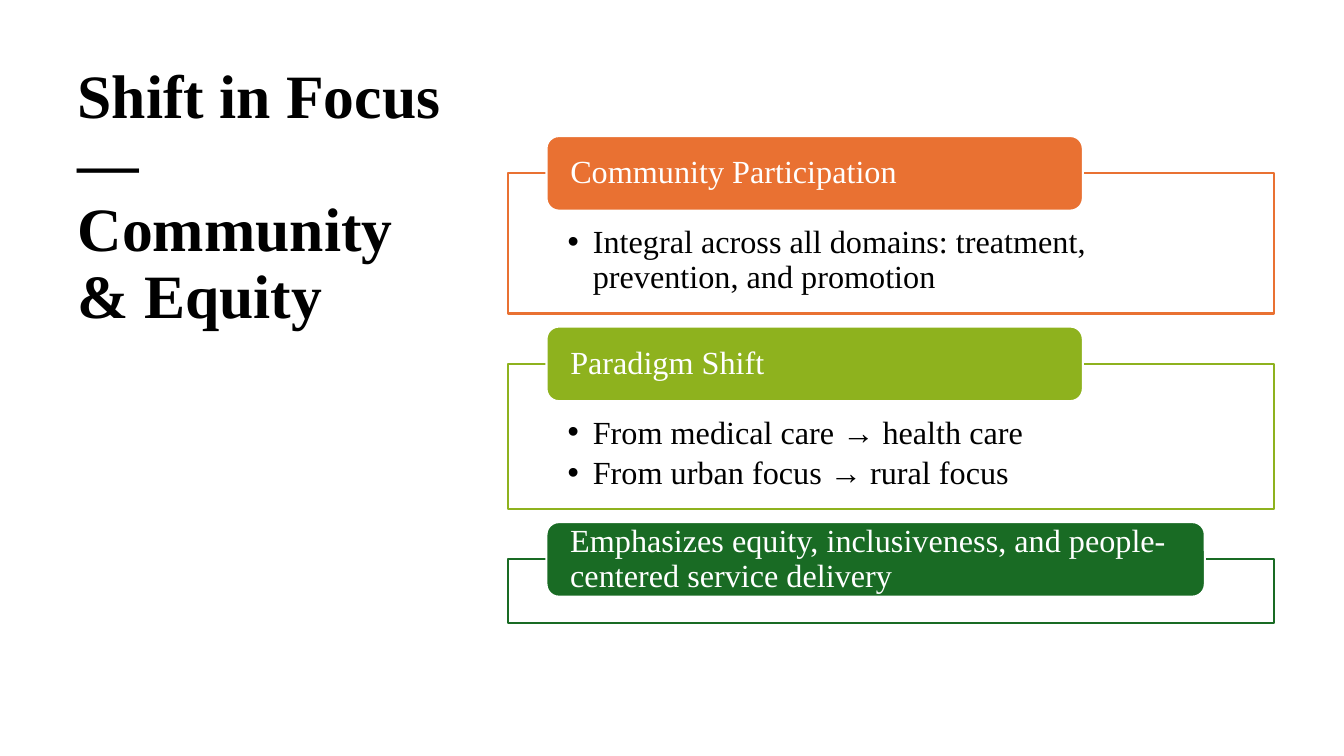
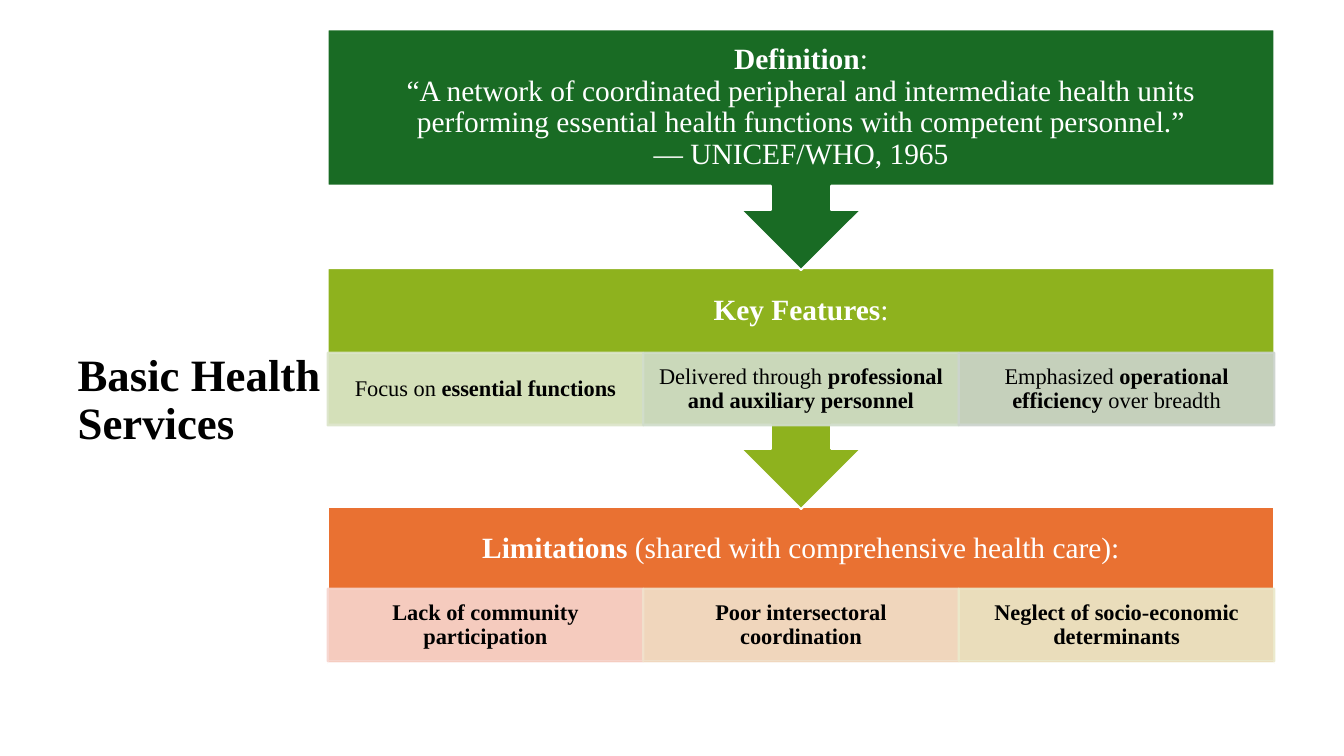
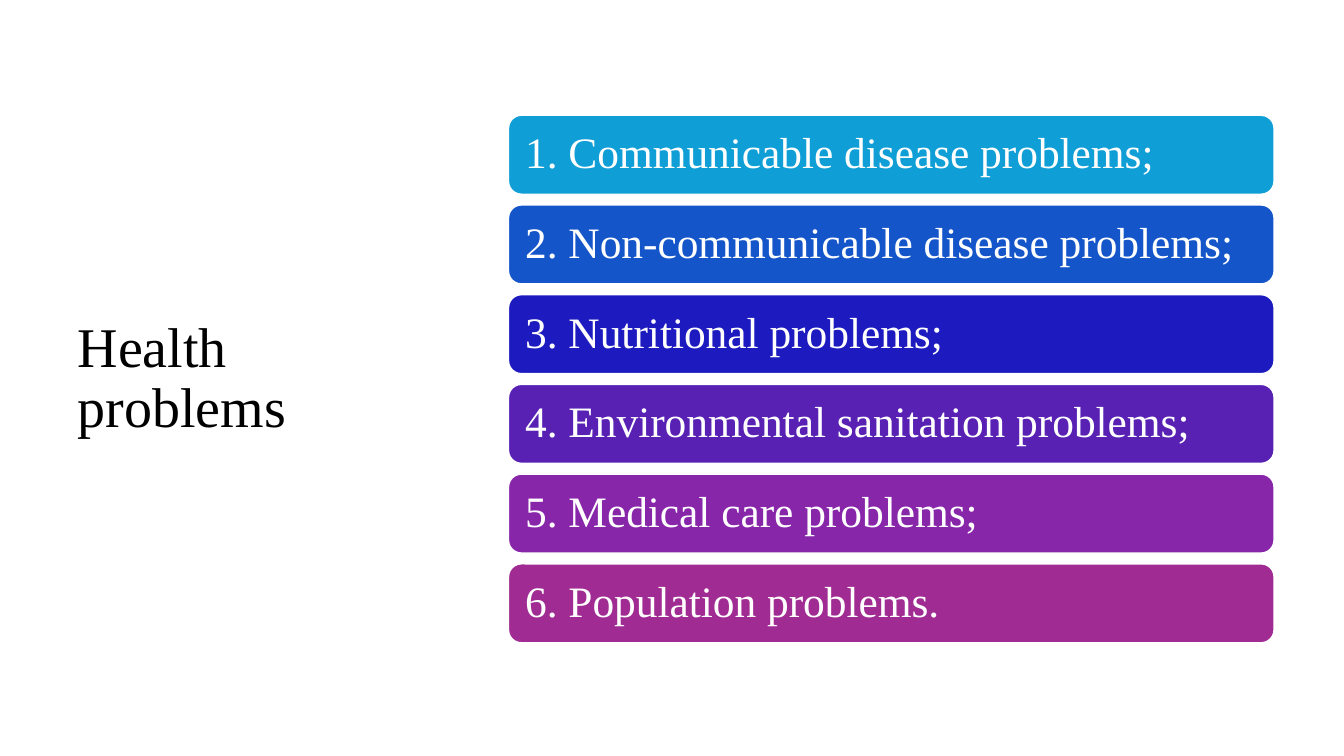
from dataclasses import dataclass

from lxml import etree
from pptx import Presentation
from pptx.dml.color import RGBColor
from pptx.enum.shapes import MSO_SHAPE
from pptx.enum.text import MSO_ANCHOR, MSO_AUTO_SIZE, PP_ALIGN
from pptx.oxml.ns import qn
from pptx.util import Pt

RECTANGLE = MSO_SHAPE.RECTANGLE
ROUNDED = MSO_SHAPE.ROUNDED_RECTANGLE
CALLOUT = MSO_SHAPE.DOWN_ARROW_CALLOUT
LEFT, CENTER = PP_ALIGN.LEFT, PP_ALIGN.CENTER
TOP, MIDDLE = MSO_ANCHOR.TOP, MSO_ANCHOR.MIDDLE
NO_AUTOFIT = MSO_AUTO_SIZE.NONE

EMU_PER_PX = 9144  # 100 px to the inch
SLIDE_SIZE = (1333, 750)
TITLE_ONLY_LAYOUT = 5


@dataclass(frozen=True)
class Theme:
    font: str = "Times New Roman"
    white: str = "FFFFFF"
    black: str = "000000"
    orange: str = "E97132"
    lime: str = "8EB21E"
    green: str = "196B24"
    problem_colors: tuple = ("0F9ED5", "1555CA", "1D1BBF", "5821B4", "8826AA", "A02B93")
    feature_tints: tuple = ("DCE5CA", "D1DDCB", "CCD4CD")
    limitation_tints: tuple = ("F7D5CE", "F1E1CC", "EBE9CA")
    focus_title: int = 44
    services_title: int = 32
    problems_title: int = 40
    focus_text: int = 23
    step_text: int = 21
    tile_text: int = 16
    problem_text: int = 31
    line_width: float = 1.5
    line_spacing: float = 0.9
    opacity: int = 90


THEME = Theme()


def px(length):
    return length * EMU_PER_PX


def add_bullet(paragraph, indent=25):
    properties = paragraph._p.get_or_add_pPr()
    properties.set("marL", str(px(indent)))
    properties.set("indent", str(px(-indent)))
    etree.SubElement(properties, qn("a:buFont")).set("typeface", "Arial")
    etree.SubElement(properties, qn("a:buChar")).set("char", "•")


def add_run(paragraph, text, bold, size, color):
    run = paragraph.add_run()
    run.text = text
    run.font.name = THEME.font
    run.font.size = Pt(size)
    run.font.bold = bold
    run.font.color.rgb = RGBColor.from_string(color)


def write(shape, *texts, size, color=THEME.white, align=LEFT, anchor=MIDDLE,
          insets=(10, 5, 10, 5), bullet=False):
    """Fill a shape with one paragraph per text; **marks** set bold, newlines break lines."""
    frame = shape.text_frame
    frame.word_wrap = True
    frame.auto_size = NO_AUTOFIT
    frame.vertical_anchor = anchor
    (frame.margin_left, frame.margin_top,
     frame.margin_right, frame.margin_bottom) = map(px, insets)
    for number, text in enumerate(texts):
        paragraph = frame.add_paragraph() if number else frame.paragraphs[0]
        paragraph.alignment = align
        paragraph.line_spacing = THEME.line_spacing
        if bullet:
            paragraph.space_after = Pt(4)
            add_bullet(paragraph)
        for part_number, part in enumerate(text.split("**")):
            for line_number, line in enumerate(part.split("\n")):
                if line_number:
                    paragraph.add_line_break()
                if line:
                    add_run(paragraph, line, part_number % 2 == 1, size, color)


def add_panel(slide, kind, box, fill, line=THEME.white):
    shape = slide.shapes.add_shape(kind, *map(px, box))
    shape.shadow.inherit = False
    shape.fill.solid()
    shape.fill.fore_color.rgb = RGBColor.from_string(fill)
    shape.line.color.rgb = RGBColor.from_string(line)
    shape.line.width = Pt(THEME.line_width)
    return shape


def make_translucent(shape, colors="a:solidFill/a:srgbClr"):
    for color in shape.element.spPr.xpath(colors):
        etree.SubElement(color, qn("a:alpha")).set("val", str(THEME.opacity * 1000))


def add_titled_slide(presentation, title, size, box=(67, 60, 382, 633), anchor=MIDDLE):
    slide = presentation.slides.add_slide(presentation.slide_layouts[TITLE_ONLY_LAYOUT])
    placeholder = slide.shapes.title
    (placeholder.left, placeholder.top,
     placeholder.width, placeholder.height) = map(px, box)
    write(placeholder, title, size=size, color=THEME.black, anchor=anchor)
    return slide


def add_tabbed_frame(slide, top, height, tab_width, heading, points, color):
    """Draw an outlined frame whose heading tab straddles its top edge."""
    tab_height = 74
    frame = add_panel(slide, RECTANGLE, (504, top, 760, height), THEME.white, color)
    make_translucent(frame)
    if points:
        write(frame, *points, size=THEME.focus_text, color=THEME.black, anchor=TOP,
              insets=(59, 52, 59, 18), bullet=True)
    tab = add_panel(slide, ROUNDED, (542, top - tab_height // 2, tab_width, tab_height), color)
    write(tab, heading, size=THEME.focus_text, insets=(20, 0, 20, 0))


def add_step(slide, kind, top, height, color, heading, strip_offset=0, tiles=(), tints=()):
    """Draw a process step with an optional strip of tinted tiles under its heading."""
    left, tile_width, tile_height, margin = 325, 313, 72, 16
    step = add_panel(slide, kind, (left, top, 3 * tile_width, height), color)
    bottom_margin = margin + (71 if tiles else 0)
    write(step, heading, size=THEME.step_text, align=CENTER,
          insets=(margin, margin, margin, bottom_margin))
    for column, (text, tint) in enumerate(zip(tiles, tints)):
        box = (left + column * tile_width, top + strip_offset, tile_width, tile_height)
        tile = add_panel(slide, RECTANGLE, box, tint, tint)
        make_translucent(tile, ".//a:srgbClr")
        write(tile, text, size=THEME.tile_text, color=THEME.black, align=CENTER,
              insets=(12, 2, 12, 2))


def build_focus_slide(presentation):
    slide = add_titled_slide(presentation, "**Shift in Focus — Community & Equity**",
                             THEME.focus_title, anchor=TOP)
    sections = [
        (139, 532, "Community Participation",
         ["Integral across all domains: treatment, prevention, and promotion"], THEME.orange),
        (144, 532, "Paradigm Shift",
         ["From medical care → health care", "From urban focus → rural focus"], THEME.lime),
        (63, 653, "Emphasizes equity, inclusiveness, and people-centered service delivery",
         [], THEME.green),
    ]
    top, gap = 172, 50
    for height, *section in sections:
        add_tabbed_frame(slide, top, height, *section)
        top += height + gap


def build_services_slide(presentation):
    slide = add_titled_slide(presentation, "**Basic Health Services**",
                             THEME.services_title, box=(67, 137, 318, 522))
    definition = (
        "**Definition**:\n“A network of coordinated peripheral and intermediate health units "
        "performing essential health functions with competent personnel.”\n— UNICEF/WHO, 1965"
    )
    features = ("Focus on **essential functions**",
                "Delivered through **professional and auxiliary personnel**",
                "Emphasized **operational efficiency** over breadth")
    limitations = ("**Lack of community participation**",
                   "**Poor intersectoral coordination**",
                   "**Neglect of socio-economic determinants**")
    steps = [
        (CALLOUT, 239, THEME.green, definition),
        (CALLOUT, 239, THEME.lime, "**Key Features**:", 84, features, THEME.feature_tints),
        (RECTANGLE, 155, THEME.orange, "**Limitations** (shared with comprehensive health care):",
         81, limitations, THEME.limitation_tints),
    ]
    # Drawn from the bottom up so that each arrow tip lies over the next step
    for row, (kind, *step) in reversed(list(enumerate(steps))):
        add_step(slide, kind, 29 + row * 237, *step)


def build_problems_slide(presentation):
    slide = add_titled_slide(presentation, "Health problems", THEME.problems_title)
    problems = ("Communicable disease problems;", "Non-communicable disease problems;",
                "Nutritional problems;", "Environmental sanitation problems;",
                "Medical care problems;", "Population problems.")
    for row, (problem, color) in enumerate(zip(problems, THEME.problem_colors)):
        bar = add_panel(slide, ROUNDED, (504, 114 + row * 89, 760, 79), color)
        write(bar, f"{row + 1}. {problem}", size=THEME.problem_text, insets=(13, 13, 13, 13))


def main():
    presentation = Presentation()
    presentation.slide_width, presentation.slide_height = map(px, SLIDE_SIZE)
    build_focus_slide(presentation)
    build_services_slide(presentation)
    build_problems_slide(presentation)
    presentation.save("out.pptx")


if __name__ == "__main__":
    main()
